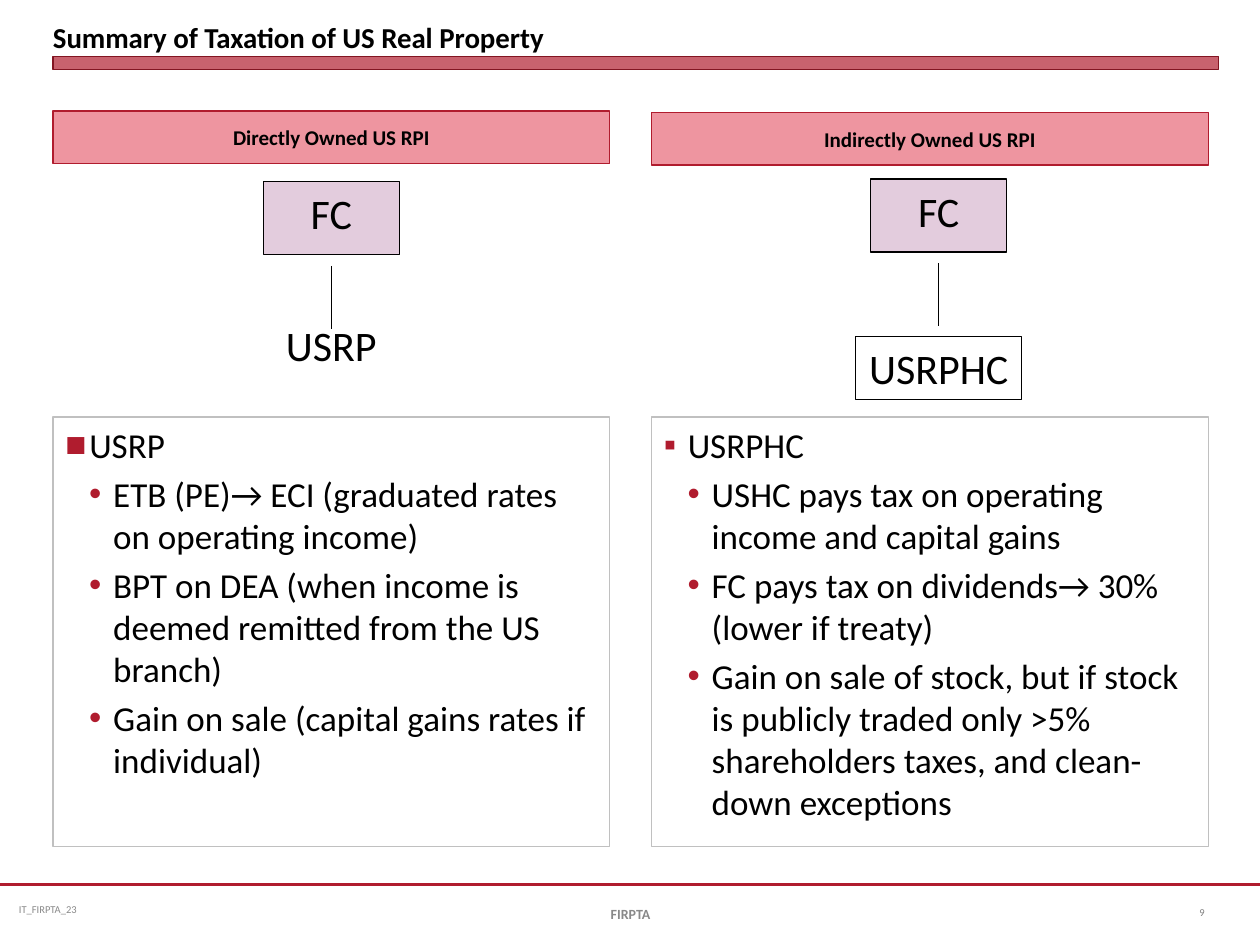
from dataclasses import dataclass
from lxml import etree
from pptx import Presentation
from pptx.dml.color import RGBColor
from pptx.enum.shapes import MSO_CONNECTOR, MSO_SHAPE
from pptx.enum.text import MSO_ANCHOR, PP_ALIGN
from pptx.oxml.ns import qn
from pptx.util import Inches, Pt

LINE, RECT = MSO_CONNECTOR.STRAIGHT, MSO_SHAPE.RECTANGLE
TOP, MID, LOW = MSO_ANCHOR.TOP, MSO_ANCHOR.MIDDLE, MSO_ANCHOR.BOTTOM
LEFT, MIDST = PP_ALIGN.LEFT, PP_ALIGN.CENTER


@dataclass(frozen=True)
class Theme:
    """Colours, font and type sizes of the deck."""
    font: str = "Calibri"
    ink: str = "000000"
    red: str = "B01C2E"
    edge: str = "821522"
    pink: str = "EE95A0"
    lilac: str = "E3CCDD"
    white: str = "FFFFFF"
    rim: str = "C0C0C0"
    grey: str = "898989"
    dim: str = "808080"
    title: float = 16.5
    head: float = 12
    node: float = 24
    body: float = 20
    foot: float = 8
    note: float = 6


THEME = Theme()


def rgb(code):
    """Turn a hex code into a colour."""
    return RGBColor.from_string(code)


def style(par, size, color=THEME.ink, bold=False):
    """Set the font of one paragraph."""
    font = par.font
    font.name, font.size, font.bold = THEME.font, Pt(size), bold
    font.color.rgb = rgb(color)


def write(shape, text, size, color=THEME.ink, bold=False, align=LEFT,
          anchor=TOP, wrap=True, pad=(0.1, 0.05)):
    """Put one formatted paragraph into a shape."""
    frame = shape.text_frame
    frame.word_wrap, frame.vertical_anchor = wrap, anchor
    frame.margin_left = frame.margin_right = Inches(pad[0])
    frame.margin_top = frame.margin_bottom = Inches(pad[1])
    par = frame.paragraphs[0]
    par.text, par.alignment = text, align
    style(par, size, color, bold)


def label(slide, box, text, size, **form):
    """Add a text box."""
    write(slide.shapes.add_textbox(*map(Inches, box)), text, size, **form)


def block(slide, box, fill, line, width=0.75):
    """Add a plain rectangle, hollow when fill is None."""
    shape = slide.shapes.add_shape(RECT, *map(Inches, box))
    shape.shadow.inherit = False
    if fill:
        shape.fill.solid()
        shape.fill.fore_color.rgb = rgb(fill)
    else:
        shape.fill.background()
    shape.line.color.rgb, shape.line.width = rgb(line), Pt(width)
    return shape


def rule(slide, start, end, color, width):
    """Draw a straight line without shadow."""
    line = slide.shapes.add_connector(LINE, *map(Inches, start + end))
    line.line.color.rgb, line.line.width = rgb(color), Pt(width)
    etree.SubElement(line._element.spPr, qn("a:effectLst"))


def bullet(par, mark, level):
    """Give a paragraph a red bullet and a hanging indent."""
    props = par._p.get_or_add_pPr()
    props.set("marL", str(Inches(0.19 * (level + 1))))
    props.set("indent", str(Inches(-0.19)))
    tint = etree.SubElement(props, qn("a:buClr"))
    etree.SubElement(tint, qn("a:srgbClr"), val=THEME.red)
    etree.SubElement(props, qn("a:buFont"), typeface="Arial")
    etree.SubElement(props, qn("a:buChar"), char=mark)


def points(slide, box, mark, lines):
    """Fill a framed panel with a lead line and its sub-points."""
    frame = block(slide, box, THEME.white, THEME.rim).text_frame
    frame.word_wrap, frame.vertical_anchor = True, TOP
    for i, text in enumerate(lines):
        par = frame.add_paragraph() if i else frame.paragraphs[0]
        par.text, par.alignment = text, LEFT
        par.level = min(i, 1)
        if i:
            par.space_before = Pt(THEME.body * 0.2)
        bullet(par, "•" if i else mark, par.level)
        style(par, THEME.body)


def chain(slide, box, text, framed):
    """Draw the owner, the link and the thing owned."""
    left, top, wide, high = box
    mid = left + wide / 2
    owner = block(slide, (left, top, wide, 0.58), THEME.lilac, THEME.ink)
    write(owner, "FC", THEME.node, align=MIDST)
    rule(slide, (mid, top + 0.67), (mid, top + 1.17), THEME.ink, 0.75)
    span = 1.32 if framed else 0.93
    low = (mid - span / 2, top + high - 0.5, span, 0.5)
    form = {"align": MIDST, "wrap": False}
    if framed:
        write(block(slide, low, None, THEME.ink), text, THEME.node, **form)
    else:
        label(slide, low, text, THEME.node, **form)


def column(slide, box, head, tree, mark, lines):
    """Build one side: heading, ownership chain and points."""
    left, top, wide, high = box
    band = block(slide, (left, top, wide, 0.42), THEME.pink, THEME.red)
    write(band, head, THEME.head, bold=True, align=MIDST, anchor=MID)
    chain(slide, *tree)
    points(slide, (left, top + high - 3.41, wide, 3.41), mark, lines)


def header(slide, box):
    """Place the title above its bar."""
    left, top, wide, high = box
    label(slide, (left, top, wide, 0.43),
          "Summary of Taxation of US Real Property", THEME.title,
          bold=True, anchor=LOW, pad=(0, 0))
    bar = block(slide, (left, top + high - 0.1, wide, 0.1),
                THEME.red, THEME.edge, 0)
    tint = bar._element.spPr.find(qn("a:solidFill"))[0]
    etree.SubElement(tint, qn("a:alpha"), val="69000")


def footer(slide, box):
    """Place the footer rule, code, name and page number."""
    left, top, wide, high = box
    rule(slide, (left, top), (left + wide, top), THEME.red, 1.25)
    label(slide, (left + 0.08, top, 2.58, high), "IT_FIRPTA_23", THEME.note,
          color=THEME.grey, anchor=MID, pad=(0.07, 0.04))
    label(slide, (left + 3.42, top + 0.03, 3.17, high), "FIRPTA", THEME.foot,
          color=THEME.grey, bold=True, align=MIDST, anchor=MID)
    label(slide, (left + 9.42, top + 0.02, 0.5, high), "9", THEME.note,
          color=THEME.dim, anchor=MID)


def main():
    """Build and save the slide."""
    deck = Presentation()
    deck.slide_width, deck.slide_height = Inches(10), Inches(7.5)
    slide = deck.slides.add_slide(deck.slide_layouts[6])
    header(slide, (0.42, 0, 9.25, 0.55))
    column(slide, (0.42, 0.88, 4.42, 5.84), "Directly Owned US RPI",
           ((2.09, 1.44, 1.08, 1.55), "USRP", False), "■", (
               "USRP",
               "ETB (PE)→ ECI (graduated rates on operating income)",
               "BPT on DEA (when income is deemed remitted from the US branch)",
               "Gain on sale (capital gains rates if individual)"))
    column(slide, (5.17, 0.89, 4.42, 5.83), "Indirectly Owned US RPI",
           ((6.91, 1.42, 1.08, 1.75), "USRPHC", True), "▪", (
               "USRPHC",
               "USHC pays tax on operating income and capital gains",
               "FC pays tax on dividends→ 30% (lower if treaty)",
               "Gain on sale of stock, but if stock is publicly traded only "
               ">5% shareholders taxes, and clean-down exceptions"))
    footer(slide, (0, 7.02, 10, 0.4))
    deck.save("out.pptx")


if __name__ == "__main__":
    main()
